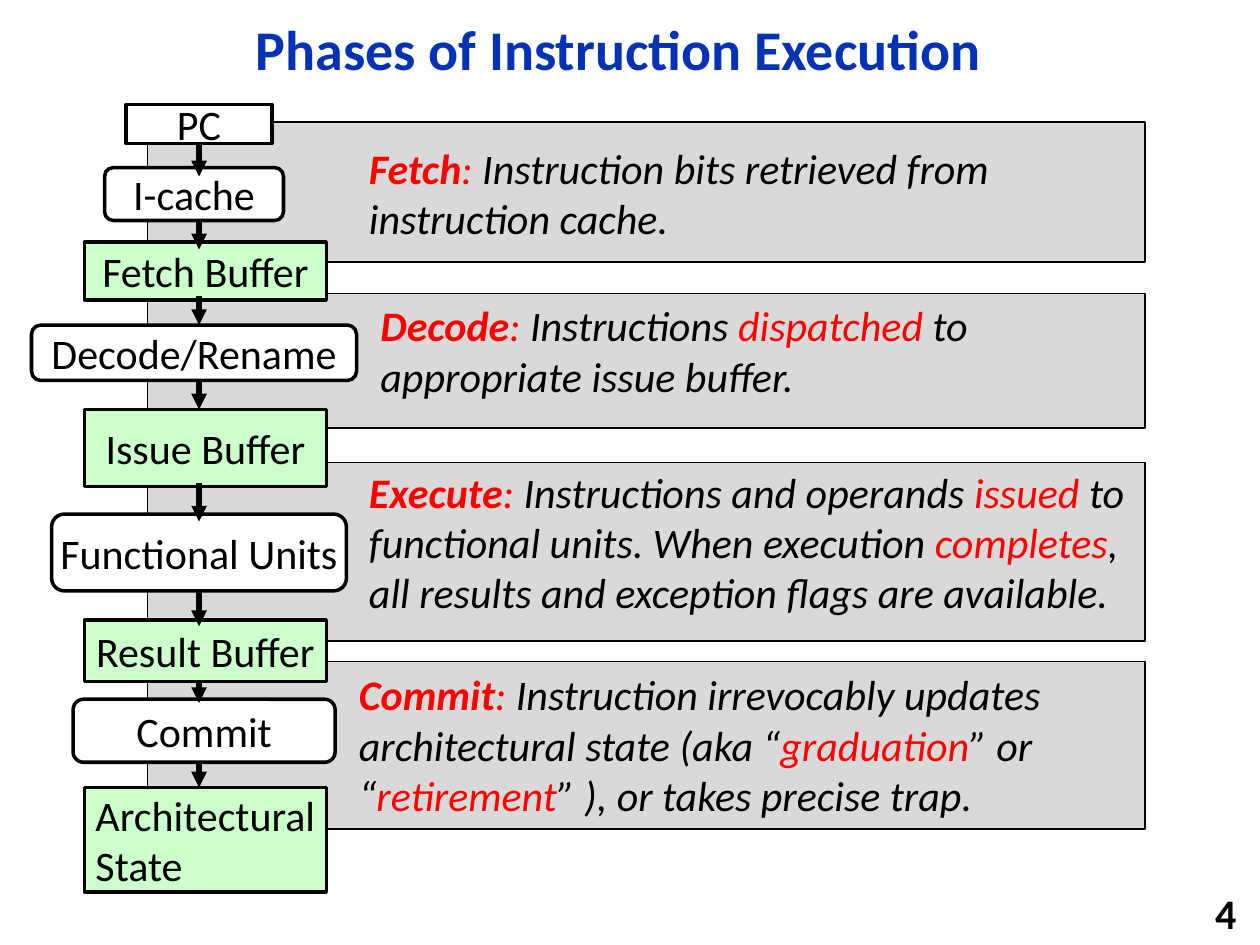
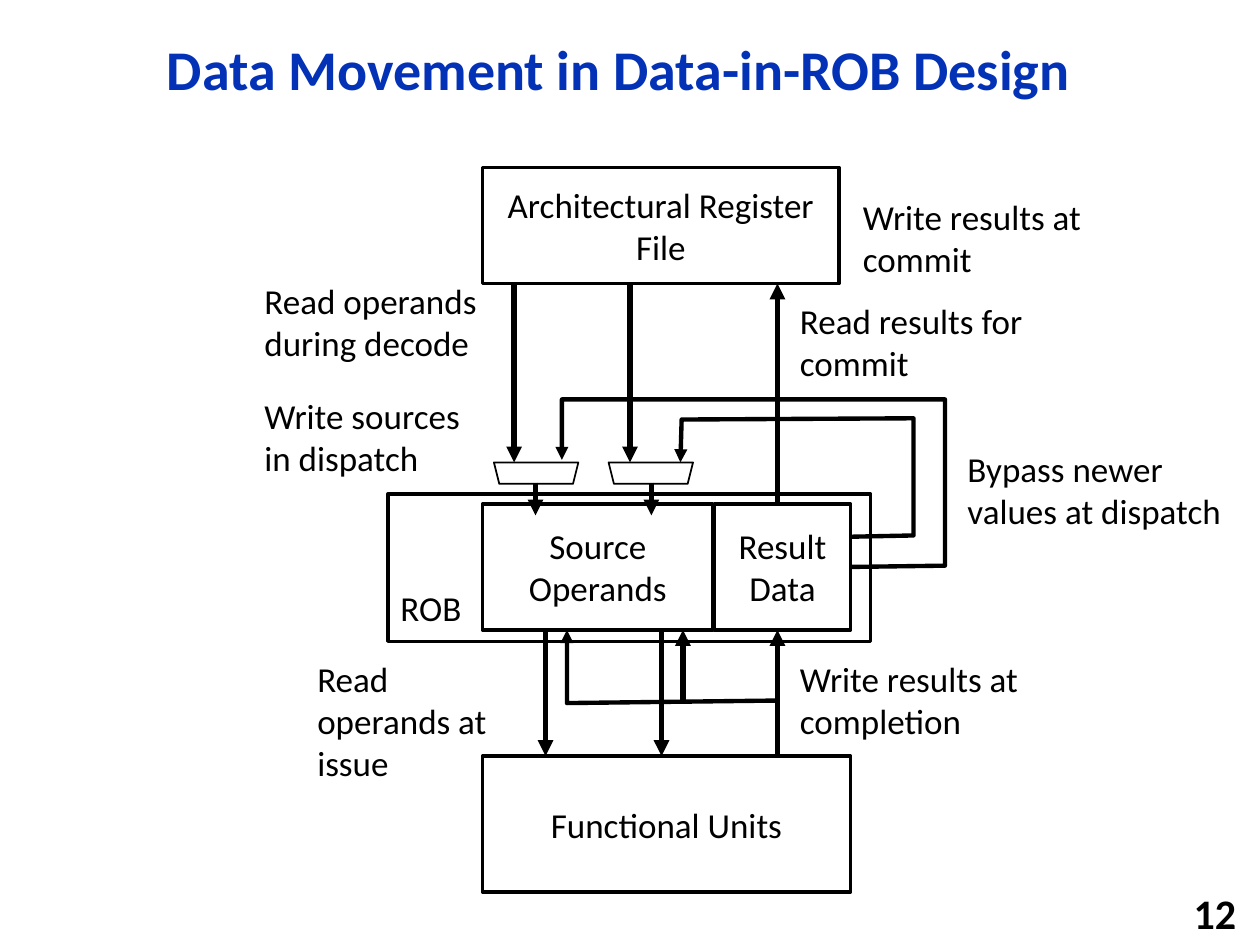
from lxml.etree import SubElement
from pptx import Presentation
from pptx.dml.color import RGBColor
from pptx.enum.shapes import MSO_CONNECTOR, MSO_SHAPE
from pptx.enum.text import MSO_ANCHOR, PP_ALIGN
from pptx.oxml.ns import qn
from pptx.util import Inches, Pt

COLORS = {"title": "0332B7", "ink": "000000", "accent": "FF0000",
          "band": "D9D9D9", "buffer": "CCFFCC", "paper": "FFFFFF"}
FONT = "Calibri"
INSETS = (0.1, 0.05, 0.1, 0.05)
LEFT, CENTER, RIGHT = PP_ALIGN.LEFT, PP_ALIGN.CENTER, PP_ALIGN.RIGHT
TOP, MIDDLE, BOTTOM = MSO_ANCHOR.TOP, MSO_ANCHOR.MIDDLE, MSO_ANCHOR.BOTTOM
RECT, ROUND = MSO_SHAPE.RECTANGLE, MSO_SHAPE.ROUNDED_RECTANGLE

PHASES_TITLE = ("Phases of Instruction Execution", 0.01, "4")
BAND_LEFT, BAND_WIDTH = 1.17, 7.92
PHASES = [
    ((0.97, 1.11), (2.83, 1.08, 5.15, 0.91),
     ["Fetch", ":", " Instruction bits retrieved from instruction cache."]),
    ((2.33, 1.07), (2.92, 2.33, 6.29, 0.91),
     ["Decode", ":", " Instructions ", "dispatched ", "to appropriate issue buffer."]),
    ((3.67, 1.42), (2.83, 3.65, 6.25, 1.31),
     ["Execute", ": ", "Instructions and operands ", "issued ",
      "to functional units. When execution ", "completes",
      ", all results and exception flags are available."]),
    ((5.25, 1.33), (2.75, 5.26, 6.5, 1.31),
     ["Commit", ": ", "Instruction irrevocably updates architectural state (aka “",
      "graduation", "” or “", "retirement", "” ), or takes precise trap."]),
]
STAGES = [
    ("PC", RECT, "paper", (1, 0.83, 1.16, 0.31)),
    ("I-cache", ROUND, "paper", (0.83, 1.33, 1.42, 0.42)),
    ("Fetch Buffer", RECT, "buffer", (0.67, 1.92, 1.92, 0.46)),
    ("Decode/Rename", ROUND, "paper", (0.25, 2.58, 2.58, 0.44)),
    ("Issue Buffer", RECT, "buffer", (0.67, 3.25, 1.92, 0.61)),
    ("Functional Units", ROUND, "paper", (0.41, 4.08, 2.34, 0.61)),
    ("Result Buffer", RECT, "buffer", (0.67, 4.92, 1.92, 0.49)),
    ("Commit", ROUND, "paper", (0.58, 5.55, 2.08, 0.5)),
    ("Architectural\nState", RECT, "buffer", (0.67, 6.25, 1.92, 0.83)),
]
FLOW_X = 1.58
FLOW_STEPS = [(1.14, 1.4), (1.75, 1.98), (2.35, 2.58), (3.02, 3.25), (3.83, 4.14),
              (4.69, 4.97), (5.41, 5.58), (6.05, 6.25)]
CENTERED_STAGES = ("PC", "Functional Units")

ROB_TITLE = ("Data Movement in Data-in-ROB Design", 0.17, "12")
ROB = ("ROB", (3.08, 3.92, 3.83, 1.17))
UNITS = [
    ("Architectural Register File", (3.83, 1.33, 2.83, 0.92)),
    ("Source Operands", (3.83, 4, 1.83, 1)),
    ("Result Data", (5.67, 4, 1.08, 1)),
    ("Functional Units", (3.83, 6, 2.92, 1.08)),
]
MUX_LEFTS = (3.92, 4.83)
MUX_TOP, MUX_WIDTH, MUX_HEIGHT = 3.67, 0.67, 0.17
TRANSFERS = [(4.08, 2.25, 3.67), (5, 2.25, 3.67), (4.25, 3.83, 4.09), (5.17, 3.83, 4.09),
             (4.33, 5, 6), (5.25, 5, 6), (6.17, 4, 2.25), (6.17, 6, 5), (5.42, 5.58, 5)]
BYPASSES = [
    [(6.75, 4.26), (7.25, 4.25), (7.25, 3.32), (5.41, 3.33), (5.4, 3.67)],
    [(6.75, 4.5), (7.5, 4.49), (7.5, 3.17), (4.46, 3.17), (4.46, 3.65)],
    [(6.17, 5.56), (4.5, 5.58), (4.5, 5)],
]
MOVES = [
    ("Read operands during decode", (2, 2.17, 2.25, 0.77)),
    ("Write sources in dispatch", (2, 3.08, 2, 0.77)),
    ("Read operands at issue", (2.42, 5.17, 1.83, 1.11)),
    ("Write results at commit", (6.75, 1.5, 2.33, 0.77)),
    ("Read results for commit", (6.25, 2.33, 2.08, 0.77)),
    ("Bypass newer values at dispatch", (7.58, 3.5, 2.25, 0.77)),
    ("Write results at completion", (6.25, 5.17, 2, 0.77)),
]


def rgb(key):
    return RGBColor.from_string(COLORS[key])


def write(shape, text, size=24, color="ink", bold=False, italic=False, align=LEFT,
          anchor=TOP, insets=INSETS, wrap=True, spacing=None):
    frame = shape.text_frame
    frame.word_wrap = wrap
    frame.vertical_anchor = anchor
    (frame.margin_left, frame.margin_top,
     frame.margin_right, frame.margin_bottom) = map(Inches, insets)
    lines = [[(line, color, bold)] for line in text.split("\n")] if isinstance(text, str) else [text]
    for number, runs in enumerate(lines):
        paragraph = frame.add_paragraph() if number else frame.paragraphs[0]
        paragraph.alignment = LEFT if number else align
        if spacing:
            paragraph.line_spacing = spacing
        for words, run_color, run_bold in runs:
            run = paragraph.add_run()
            run.text = words
            run.font.name, run.font.size = FONT, Pt(size)
            run.font.bold, run.font.italic = run_bold, italic
            run.font.color.rgb = rgb(run_color)


def label(slide, text, place, **style):
    write(slide.shapes.add_textbox(*map(Inches, place)), text, **style)


def box(slide, kind, place, fill="paper", weight=2):
    shape = slide.shapes.add_shape(kind, *map(Inches, place))
    shape.shadow.inherit = False
    shape.fill.solid()
    shape.fill.fore_color.rgb = rgb(fill)
    shape.line.color.rgb = rgb("ink")
    shape.line.width = Pt(weight)
    return shape


def point_arrow(outline, weight):
    outline.line.color.rgb = rgb("ink")
    outline.line.width = Pt(weight)
    SubElement(outline.line._get_or_add_ln(), qn("a:tailEnd"), type="triangle")


def arrow(slide, x, start, end, source=None):
    link = slide.shapes.add_connector(
        MSO_CONNECTOR.STRAIGHT, *map(Inches, (x, start, x, end)))
    if source is not None:
        link.begin_connect(source, 2)
    point_arrow(link, 3)
    SubElement(link.element.spPr, qn("a:effectLst"))


def bent_arrow(slide, points):
    first, *rest = [(Inches(x), Inches(y)) for x, y in points]
    builder = slide.shapes.build_freeform(*first)
    builder.add_line_segments(rest, close=False)
    bend = builder.convert_to_shape()
    bend.shadow.inherit = False
    bend.fill.background()
    point_arrow(bend, 2.5)


def titled_slide(deck, title, top, number):
    slide = deck.slides.add_slide(deck.slide_layouts[6])
    label(slide, title, (0.92, top, 7.98, 0.81), size=32, color="title", bold=True,
          align=CENTER, anchor=MIDDLE, spacing=0.9)
    label(slide, number, (7.83, 7.08, 2.08, 0.32), bold=True, align=RIGHT, anchor=MIDDLE)
    return slide


def phase_runs(parts):
    return [(part, "accent" if i == 0 or i % 2 else "ink", i == 0)
            for i, part in enumerate(parts)]


def build_phases(deck):
    slide = titled_slide(deck, *PHASES_TITLE)
    for (top, height), place, parts in PHASES:
        box(slide, RECT, (BAND_LEFT, top, BAND_WIDTH, height), "band", 1)
        label(slide, phase_runs(parts), place, italic=True)
    stages = {}
    for name, kind, fill, place in STAGES:
        stages[name] = box(slide, kind, place, fill)
        write(stages[name], name, align=CENTER, anchor=MIDDLE, wrap=False)
    for (name, *_), (start, end) in zip(STAGES, FLOW_STEPS):
        arrow(slide, FLOW_X, start, end, stages[name] if name in CENTERED_STAGES else None)


def build_data_movement(deck):
    slide = titled_slide(deck, *ROB_TITLE)
    name, place = ROB
    write(box(slide, RECT, place), name, size=20, anchor=BOTTOM, insets=(0.1,) * 4)
    for name, place in UNITS:
        write(box(slide, RECT, place), name, size=20, align=CENTER, anchor=MIDDLE, insets=(0,) * 4)
    for points in BYPASSES:
        bent_arrow(slide, points)
    for left in MUX_LEFTS:
        mux = box(slide, MSO_SHAPE.TRAPEZOID, (left, MUX_TOP, MUX_WIDTH, MUX_HEIGHT), weight=1)
        mux.rotation = 180
    for transfer in TRANSFERS:
        arrow(slide, *transfer)
    for text, place in MOVES:
        label(slide, text, place, size=20)


def main():
    deck = Presentation()
    deck.slide_width, deck.slide_height = Inches(10), Inches(7.5)
    build_phases(deck)
    build_data_movement(deck)
    deck.save("out.pptx")


if __name__ == "__main__":
    main()
